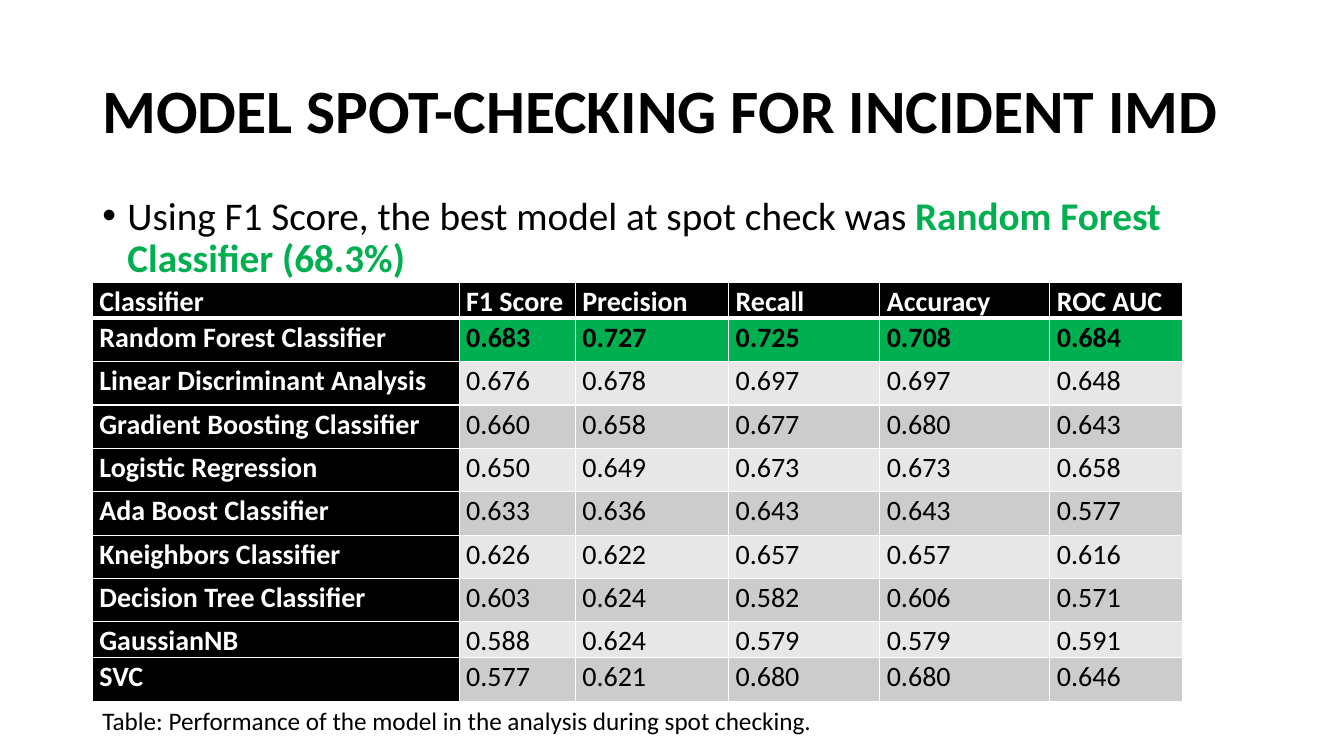
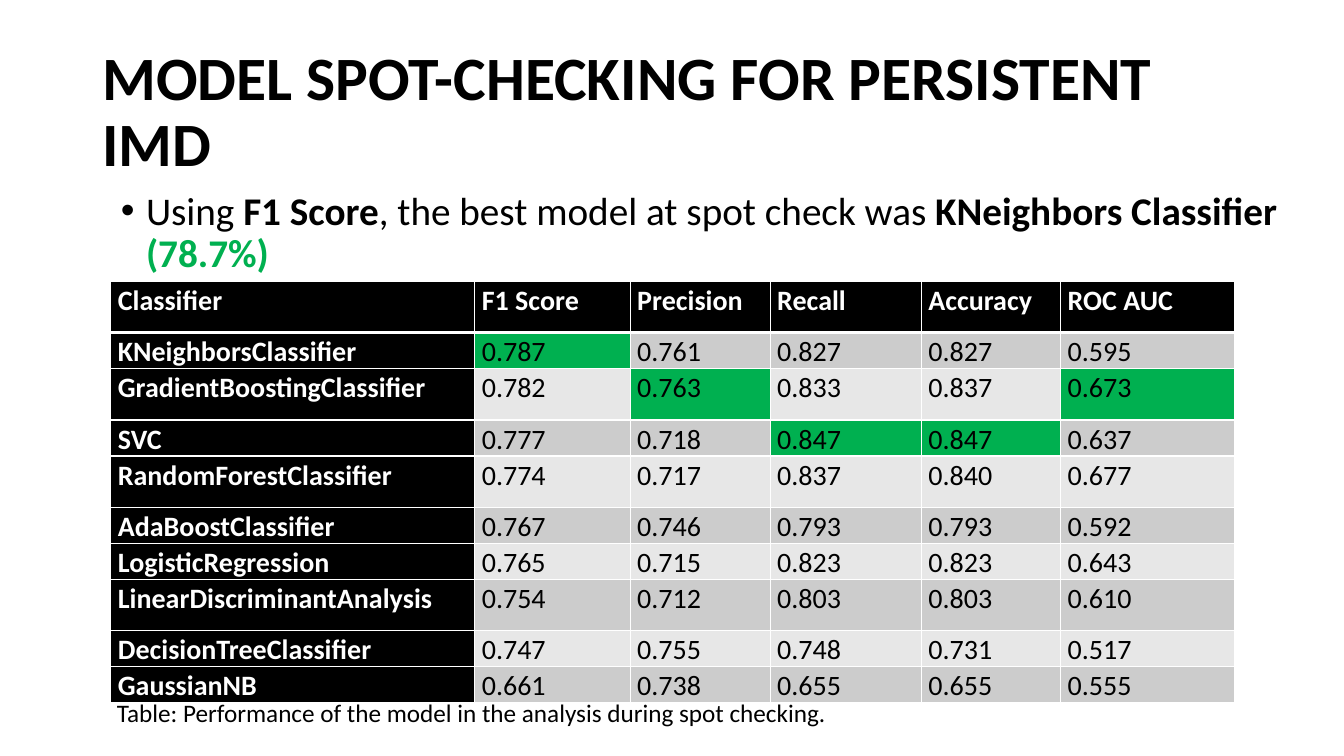
from lxml.etree import SubElement
from pptx import Presentation
from pptx.dml.color import RGBColor
from pptx.enum.text import MSO_ANCHOR
from pptx.oxml.ns import qn
from pptx.util import Pt

COLORS = {
    "black": "000000",
    "white": "FFFFFF",
    "green": "00B050",
    "dark_band": "CCCCCC",
    "light_band": "E7E7E7",
}
FONT = "Calibri"
CAPTION = "Table: Performance of the model in the analysis during spot checking."
HEADINGS = ("Classifier", "F1 Score", "Precision", "Recall", "Accuracy", "ROC AUC")
SHORT, MEDIUM, TALL = 25.7, 31, 36.7

SLIDES = [
    {
        "title": "MODEL SPOT-CHECKING FOR INCIDENT IMD",
        "finding": [
            ("Using F1 Score, the best model at spot check was ", False, "black"),
            ("Random Forest Classifier (68.3%)", True, "green"),
        ],
        "finding_box": (66, 136.8, 778.5, 72),
        "caption_box": (66, 500.4, 868, 29),
        "table_corner": (66, 201.6),
        "columns": (262, 83, 109.5, 108, 121.5, 94.5),
        "rows": [SHORT] + [MEDIUM] * 7 + [SHORT, MEDIUM],
        "best": {(1, column) for column in range(1, 6)},
        "bold_best": True,
        "scores": [
            ("Random Forest Classifier", "0.683", "0.727", "0.725", "0.708", "0.684"),
            ("Linear Discriminant Analysis", "0.676", "0.678", "0.697", "0.697", "0.648"),
            ("Gradient Boosting Classifier", "0.660", "0.658", "0.677", "0.680", "0.643"),
            ("Logistic Regression", "0.650", "0.649", "0.673", "0.673", "0.658"),
            ("Ada Boost Classifier", "0.633", "0.636", "0.643", "0.643", "0.577"),
            ("Kneighbors Classifier", "0.626", "0.622", "0.657", "0.657", "0.616"),
            ("Decision Tree Classifier", "0.603", "0.624", "0.582", "0.606", "0.571"),
            ("GaussianNB", "0.588", "0.624", "0.579", "0.579", "0.591"),
            ("SVC", "0.577", "0.621", "0.680", "0.680", "0.646"),
        ],
    },
    {
        "title": "MODEL SPOT-CHECKING FOR PERSISTENT IMD",
        "finding": [
            ("Using ", False, "black"),
            ("F1 Score", True, "black"),
            (", the best model at spot check was ", False, "black"),
            ("KNeighbors Classifier ", True, "black"),
            ("(78.7%)", True, "green"),
        ],
        "finding_box": (79.2, 133.2, 851, 58.3),
        "caption_box": (76.3, 494.6, 868, 29),
        "table_corner": (79.2, 200.9),
        "columns": (260, 111, 100, 108, 99.5, 124),
        "rows": [TALL, SHORT, TALL, SHORT, TALL, SHORT, SHORT, TALL, SHORT, SHORT],
        "best": {(1, 1), (2, 2), (2, 5), (3, 3), (3, 4)},
        "bold_best": False,
        "scores": [
            ("KNeighborsClassifier", "0.787", "0.761", "0.827", "0.827", "0.595"),
            ("GradientBoostingClassifier", "0.782", "0.763", "0.833", "0.837", "0.673"),
            ("SVC", "0.777", "0.718", "0.847", "0.847", "0.637"),
            ("RandomForestClassifier", "0.774", "0.717", "0.837", "0.840", "0.677"),
            ("AdaBoostClassifier", "0.767", "0.746", "0.793", "0.793", "0.592"),
            ("LogisticRegression", "0.765", "0.715", "0.823", "0.823", "0.643"),
            ("LinearDiscriminantAnalysis", "0.754", "0.712", "0.803", "0.803", "0.610"),
            ("DecisionTreeClassifier", "0.747", "0.755", "0.748", "0.731", "0.517"),
            ("GaussianNB", "0.661", "0.738", "0.655", "0.655", "0.555"),
        ],
    },
]


def add_text(slide, box, runs, size, spacing=1.0, anchor=MSO_ANCHOR.TOP, bullet=False):
    frame = slide.shapes.add_textbox(*map(Pt, box)).text_frame
    frame.word_wrap = True
    frame.vertical_anchor = anchor
    paragraph = frame.paragraphs[0]
    paragraph.line_spacing = spacing
    if bullet:
        properties = paragraph._p.get_or_add_pPr()
        properties.set("marL", str(Pt(18)))
        properties.set("indent", str(-Pt(18)))
        SubElement(properties, qn("a:buFont"), typeface="Arial")
        SubElement(properties, qn("a:buChar"), char="•")
    paragraph.font.size = Pt(size)
    paragraph.font.name = FONT
    for text, bold, color in runs:
        run = paragraph.add_run()
        run.text = text
        run.font.bold = bold
        run.font.color.rgb = RGBColor.from_string(COLORS[color])


def style_cell(cell, text, fill, color, bold, top, bottom):
    cell.margin_left = cell.margin_right = Pt(5)
    cell.margin_top = cell.margin_bottom = 0
    properties = cell._tc.get_or_add_tcPr()
    for side, width in (("L", 1), ("R", 1), ("T", top), ("B", bottom)):
        border = SubElement(properties, qn(f"a:ln{side}"), w=str(Pt(width)))
        border_fill = SubElement(border, qn("a:solidFill"))
        SubElement(border_fill, qn("a:srgbClr"), val=COLORS["white"])
    cell.fill.solid()
    cell.fill.fore_color.rgb = RGBColor.from_string(COLORS[fill])
    cell.text = text
    paragraph = cell.text_frame.paragraphs[0]
    paragraph.line_spacing = 1.07
    paragraph.font.size = Pt(20)
    paragraph.font.name = FONT
    paragraph.font.bold = bold
    paragraph.font.color.rgb = RGBColor.from_string(COLORS[color])


deck = Presentation()
deck.slide_width, deck.slide_height = Pt(960), Pt(540)

for content in SLIDES:
    slide = deck.slides.add_slide(deck.slide_layouts[6])
    add_text(slide, (66, 28.8, 828, 104.4), [(content["title"], True, "black")], 44,
             spacing=0.9, anchor=MSO_ANCHOR.MIDDLE)
    add_text(slide, content["finding_box"], content["finding"], 28, spacing=0.9, bullet=True)
    add_text(slide, content["caption_box"], [(CAPTION, False, "black")], 18)

    columns, rows = content["columns"], content["rows"]
    size = (sum(columns), sum(rows))
    scores = slide.shapes.add_table(
        len(rows), len(columns), *map(Pt, content["table_corner"] + size)).table
    scores.first_col = True
    for column, width in zip(scores.columns, columns):
        column.width = Pt(width)
    for row, height in zip(scores.rows, rows):
        row.height = Pt(height)

    for r, values in enumerate([HEADINGS] + content["scores"]):
        for c, value in enumerate(values):
            is_label = r == 0 or c == 0
            is_best = (r, c) in content["best"]
            if is_label:
                fill = "black"
            elif is_best:
                fill = "green"
            else:
                fill = "dark_band" if r % 2 else "light_band"
            style_cell(
                scores.cell(r, c), value, fill,
                color="white" if is_label else "black",
                bold=is_label or (is_best and content["bold_best"]),
                top=3 if r == 1 else 1,
                bottom=3 if r == 0 else 1,
            )

deck.save("out.pptx")
